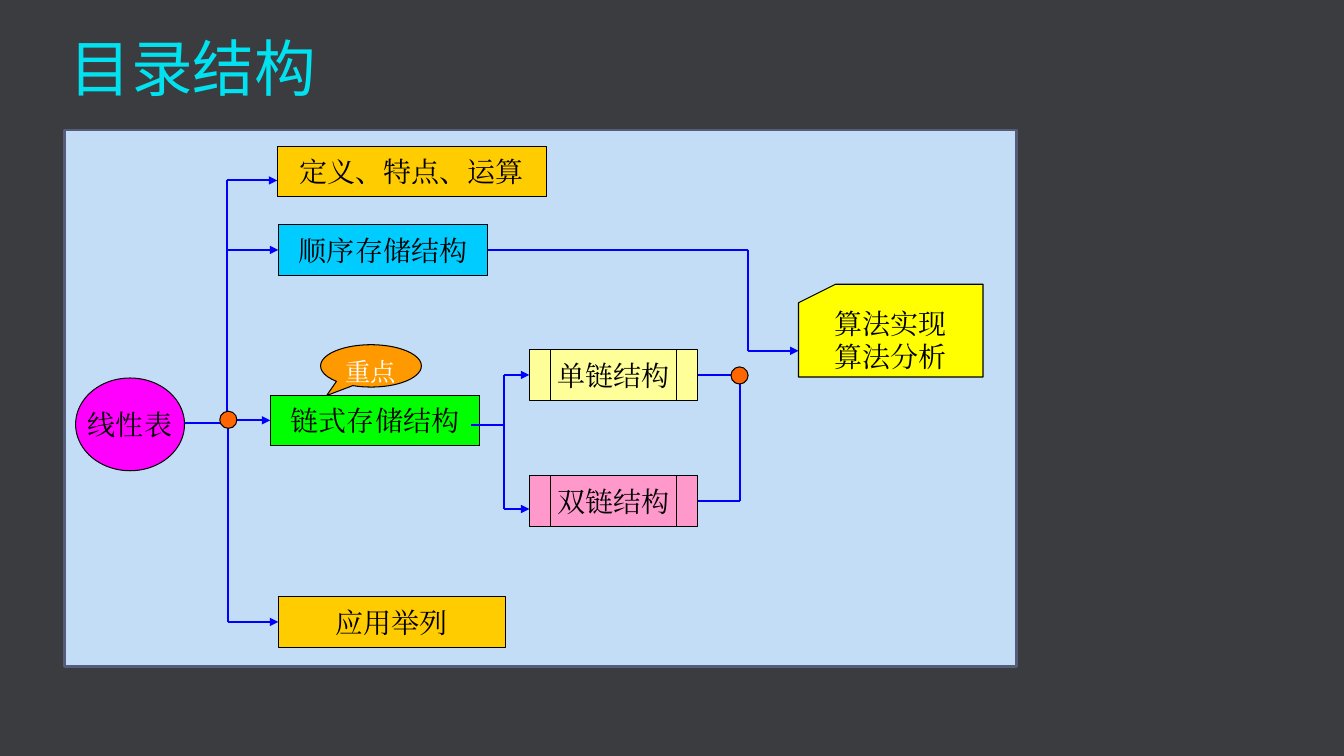
"""Draw a contents map for the linear list chapter."""
from pptx import Presentation, util as u
from pptx.dml.color import RGBColor
from pptx.enum import shapes, text
from pptx.oxml import ns
from lxml import etree

KIND = shapes.MSO_SHAPE
CARD, PROC = KIND.FLOWCHART_CARD, KIND.FLOWCHART_PREDEFINED_PROCESS
RECT, OVAL = KIND.RECTANGLE, KIND.OVAL
SANS, SERIF = "Noto Sans CJK SC", "Times New Roman"
BLACK, BLUE, DOT = "000000", "0000FF", "FF6600"

TITLE = "目录结构"
PANEL = (0.64, 1.29, 9.44, 5.32)
NODES = [
    (PROC, (5.25, 3.47, 1.67, 0.5), "FFFF99", ["单链结构"]),
    (PROC, (5.25, 4.72, 1.67, 0.5), "FF99CC", ["双链结构"]),
    (RECT, (2.76, 2.23, 2.08, 0.5), "00CCFF", ["顺序存储结构"]),
    (CARD, (7.92, 2.82, 1.83, 0.92), "FFFF00", ["算法实现", "算法分析"]),
    (OVAL, (0.75, 3.75, 1.08, 0.92), "FF00FF", ["线性表"]),
    (RECT, (2.75, 1.45, 2.67, 0.5), "FFCC00", ["定义、特点、运算"]),
    (RECT, (2.76, 5.92, 2.25, 0.5), "FFCC00", ["应用举列"]),
    (RECT, (2.68, 3.92, 2.08, 0.5), "00FF00", ["链式存储结构"]),
]
NOTE = (3.18, 3.42, 1, 0.42)
ROUTES = [
    ([(4.67, 4.22), (5, 4.22)], False),
    ([(5, 4.22), (5, 3.72), (5.25, 3.72)], True),
    ([(5, 4.22), (5, 5.05), (5.25, 5.05)], True),
    ([(6.92, 3.72), (7.34, 3.72), (7.34, 4.97), (6.92, 4.97)], False),
    ([(2.26, 2.48), (2.76, 2.48)], True),
    ([(4.84, 2.48), (7.42, 2.48), (7.42, 3.48), (7.92, 3.48)], True),
    ([(1.83, 4.2), (2.25, 4.2), (2.25, 1.79), (2.75, 1.79)], True),
    ([(2.26, 4.17), (2.26, 6.17), (2.76, 6.17)], True),
    ([(2.26, 4.17), (2.68, 4.17)], True),
]
DOTS = [(7.25, 3.64), (2.18, 4.08)]


def paint(form, tint):
    form.solid()
    form.fore_color.rgb = RGBColor.from_string(tint)


def write(para, words, size, face, tint):
    run = para.add_run()
    run.text = words
    run.font.size = u.Pt(size)
    run.font.name = face
    paint(run.font.fill, tint)
    east = etree.SubElement(run._r.get_or_add_rPr(), ns.qn("a:ea"))
    east.set("typeface", face)


def block(page, kind, box, tint, edge=BLACK, width=0.75):
    shape = page.shapes.add_shape(kind, *map(u.Inches, box))
    shape.shadow.inherit = False
    paint(shape.fill, tint)
    paint(shape.line.fill, edge)
    shape.line.width = u.Pt(width)
    return shape


def label(shape, lines, size=20, tint=BLACK):
    frame = shape.text_frame
    for i, words in enumerate(lines):
        para = frame.add_paragraph() if i else frame.paragraphs[0]
        para.alignment = text.PP_ALIGN.CENTER
        write(para, words, size, SERIF, tint)
    return frame


def route(page, points, arrow):
    last = len(points) - 2
    for i, (start, end) in enumerate(zip(points, points[1:])):
        line = page.shapes.add_connector(
            shapes.MSO_CONNECTOR.STRAIGHT, *map(u.Inches, start + end))
        paint(line.line.fill, BLUE)
        line.line.width = u.Pt(1.5)
        props = line._element.spPr
        if arrow and i == last:
            tip = etree.SubElement(props.get_or_add_ln(), ns.qn("a:tailEnd"))
            tip.set("type", "triangle")
        etree.SubElement(props, ns.qn("a:effectLst"))


def main():
    deck = Presentation()
    deck.slide_width, deck.slide_height = u.Inches(13.33), u.Inches(7.5)
    page = deck.slides.add_slide(deck.slide_layouts[6])
    paint(page.background.fill, "3A3C3F")

    head = page.shapes.add_textbox(*map(u.Inches, (0.59, 0.33, 11.68, 0.46)))
    head.text_frame.word_wrap = True
    para = head.text_frame.paragraphs[0]
    para.line_spacing = 0.9
    write(para, TITLE, 44, SANS, "01E1EF")

    block(page, RECT, PANEL, "C3DDF7", "545C79", 2)
    for kind, box, tint, lines in NODES:
        frame = label(block(page, kind, box, tint), lines)
        frame.word_wrap = False
        frame.vertical_anchor = text.MSO_ANCHOR.MIDDLE
    for points, arrow in ROUTES:
        route(page, points, arrow)

    note = block(page, KIND.OVAL_CALLOUT, NOTE, "FF9900")
    note.adjustments[0], note.adjustments[1] = -0.44, 0.7
    frame = label(note, ["重点"], 18, "FFFFFF")
    frame.vertical_anchor = text.MSO_ANCHOR.TOP
    for spot in DOTS:
        block(page, OVAL, spot + (0.17, 0.17), DOT)
    deck.save("out.pptx")


if __name__ == "__main__":
    main()
